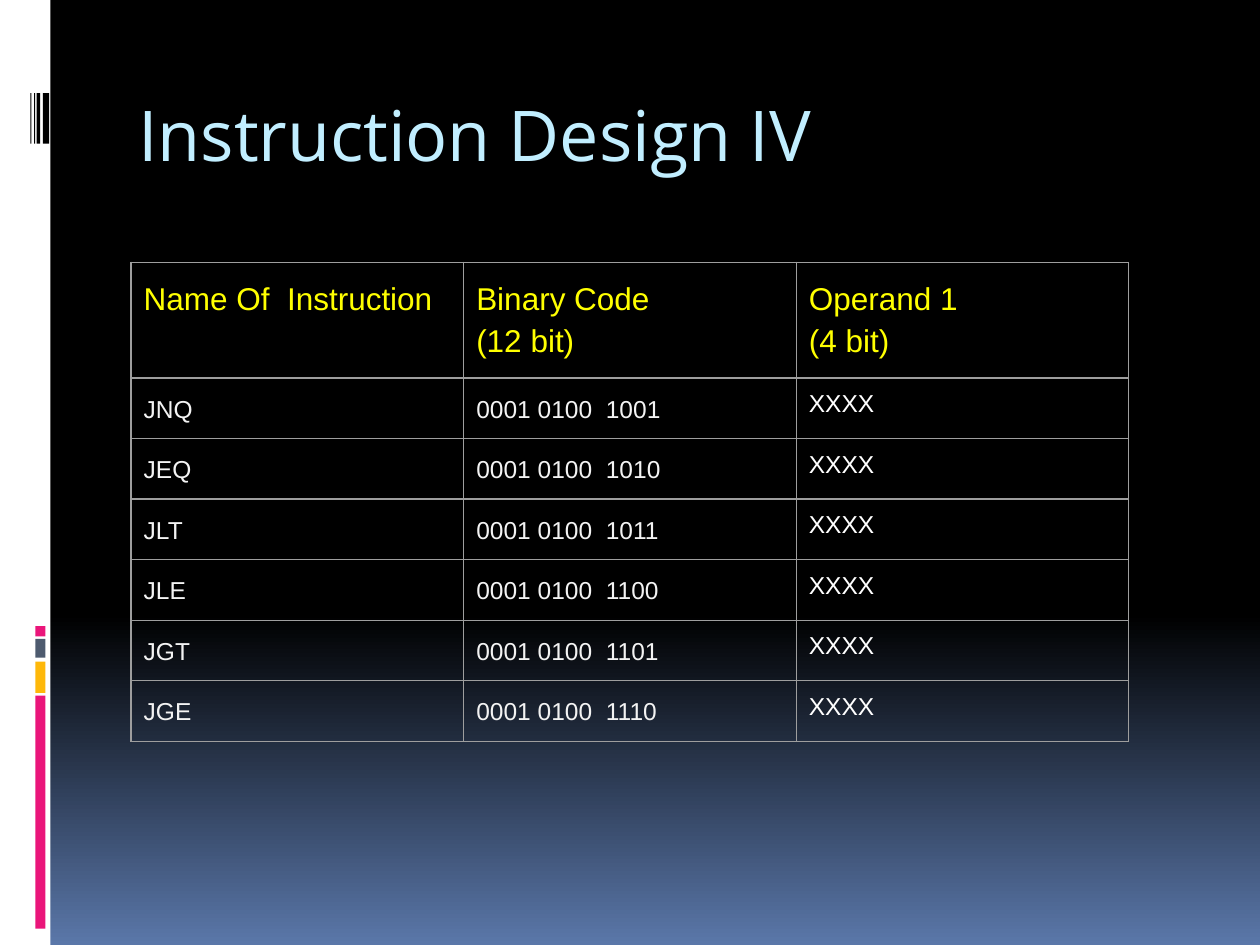
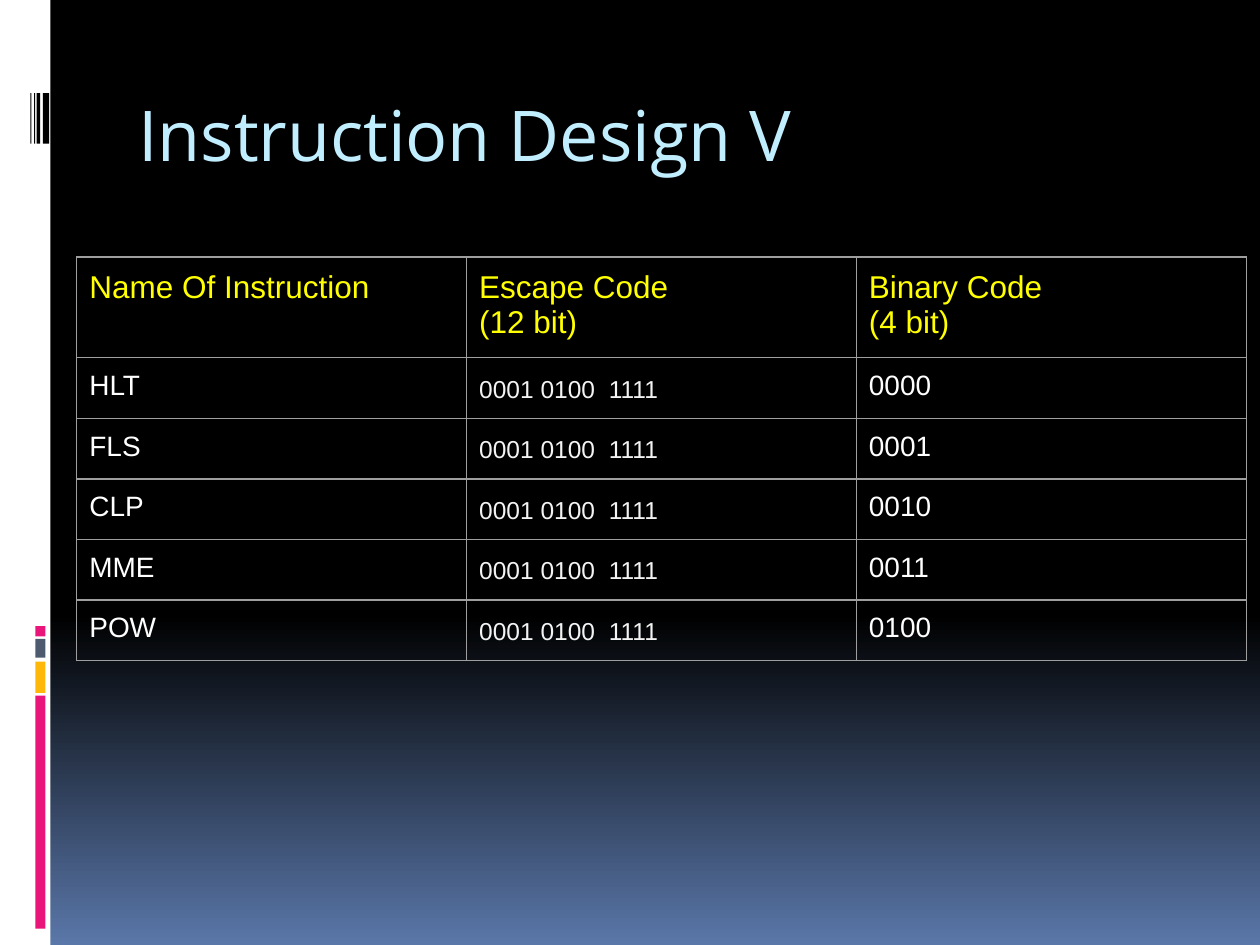
from copy import deepcopy
from lxml import etree
from pptx import Presentation, util as u
from pptx.dml.color import RGBColor
from pptx.enum import shapes, text
from pptx.oxml import parse_xml
from pptx.oxml.ns import nsdecls


def rgb(code):
    return RGBColor.from_string(code)


def write(frame, content, font, size, colour, spacing=1.0):
    frame.text = content
    for paragraph in frame.paragraphs:
        paragraph.line_spacing = spacing
        for run in paragraph.runs:
            run.font.name = font
            run.font.size = u.Pt(size)
            run.font.color.rgb = rgb(colour)


WHITE, BLACK, OFF_WHITE = "FFFFFF", "000000", "F3F3F3"
PINK, GOLD, SLATE = "EA157A", "FEB80A", "4E5B6F"
NIGHT_BLUE, TITLE_BLUE, YELLOW, GRID_GREY = "5A77A9", "C1EEFF", "FFFF00", "9E9E9E"
PADDING = u.Inches(0.1)

deck = Presentation()
deck.slide_width, deck.slide_height = u.Inches(10), u.Inches(7.5)

sky = deck.slide_master.background.fill
sky.gradient()
sky.gradient_angle = 270
first_stop = sky.gradient_stops[0]._gs
first_stop.addnext(deepcopy(first_stop))
for stop, (position, colour) in zip(
        sky.gradient_stops, [(0, BLACK), (0.65, BLACK), (1, NIGHT_BLUE)]):
    stop.position = position
    stop.color.rgb = rgb(colour)

bands = [(0, 0, 0.4, 7.5, WHITE)]
bands += [(0.28, top, 0.08, height, colour) for top, height, colour in [
    (5.52, 1.85, PINK), (5.25, 0.25, GOLD), (5.07, 0.15, SLATE), (4.97, 0.08, PINK)]]
bands += [(left, 0.74, width, 0.4, BLACK) for left, width in [
    (0.34, 0.05), (0.29, 0.03), (0.27, 0.01), (0.24, 0.01)]]

code_style = (14, OFF_WHITE, 1.2)
operand_style = (14, WHITE, 1.0)
plain_style = (16, WHITE, 1.0)

jumps = ["JNQ", "JEQ", "JLT", "JLE", "JGT", "JGE"]
jump_codes = ["1001", "1010", "1011", "1100", "1101", "1110"]
controls = ["HLT", "FLS", "CLP", "MME", "POW"]

topics = [
    dict(title="Instruction Design IV", left=1.04, top=2.08, width=7.92,
         header_height=0.88, row_height=0.47, header_spacing=1.2,
         headings=["Name Of  Instruction", "Binary Code\n(12 bit)", "Operand 1\n(4 bit)"],
         styles=[code_style, code_style, operand_style],
         rows=[(name, f"0001 0100  {code}", "XXXX")
               for name, code in zip(jumps, jump_codes)]),
    dict(title="Instruction Design V", left=0.61, top=2.04, width=9.28,
         header_height=0.76, row_height=0.46, header_spacing=1.0,
         headings=["Name Of Instruction", "Escape Code\n(12 bit)", "Binary Code\n(4 bit)"],
         styles=[plain_style, code_style, plain_style],
         rows=[(name, "0001 0100  1111", f"{number:04b}")
               for number, name in enumerate(controls)]),
]

for topic in topics:
    slide = deck.slides.add_slide(deck.slide_layouts[6])

    for *box, colour in bands:
        band = slide.shapes.add_shape(shapes.MSO_SHAPE.RECTANGLE, *map(u.Inches, box))
        band.shadow.inherit = False
        band.fill.solid()
        band.fill.fore_color.rgb = rgb(colour)
        band.line.fill.background()

    title = slide.shapes.add_textbox(*map(u.Inches, (1, 0.56, 8.5, 1))).text_frame
    title.word_wrap = True
    title.vertical_anchor = text.MSO_ANCHOR.MIDDLE
    title.margin_left = title.margin_right = PADDING
    title.margin_top = title.margin_bottom = PADDING
    write(title, topic["title"], "Open Sans", 40, TITLE_BLUE)

    lines = [topic["headings"], *topic["rows"]]
    header_style = (18, YELLOW, topic["header_spacing"])
    heights = [topic["header_height"]] + [topic["row_height"]] * len(topic["rows"])
    instructions = slide.shapes.add_table(
        len(lines), 3, u.Inches(topic["left"]), u.Inches(topic["top"]),
        u.Inches(topic["width"]), u.Inches(sum(heights))).table
    instructions.first_row = instructions.horz_banding = False

    for row_index, (line, height) in enumerate(zip(lines, heights)):
        instructions.rows[row_index].height = u.Inches(height)
        styles = topic["styles"] if row_index else [header_style] * 3
        for column, (content, style) in enumerate(zip(line, styles)):
            cell = instructions.cell(row_index, column)
            cell.margin_left = cell.margin_right = PADDING
            cell.margin_top = cell.margin_bottom = PADDING
            write(cell.text_frame, content, "Arial", *style)
            for side in "LRTB":
                cell._tc.get_or_add_tcPr().append(parse_xml(
                    f'<a:ln{side} {nsdecls("a")} w="{u.Pt(0.75)}"><a:solidFill>'
                    f'<a:srgbClr val="{GRID_GREY}"/></a:solidFill></a:ln{side}>'))
            cell.fill.background()

deck.save("out.pptx")
